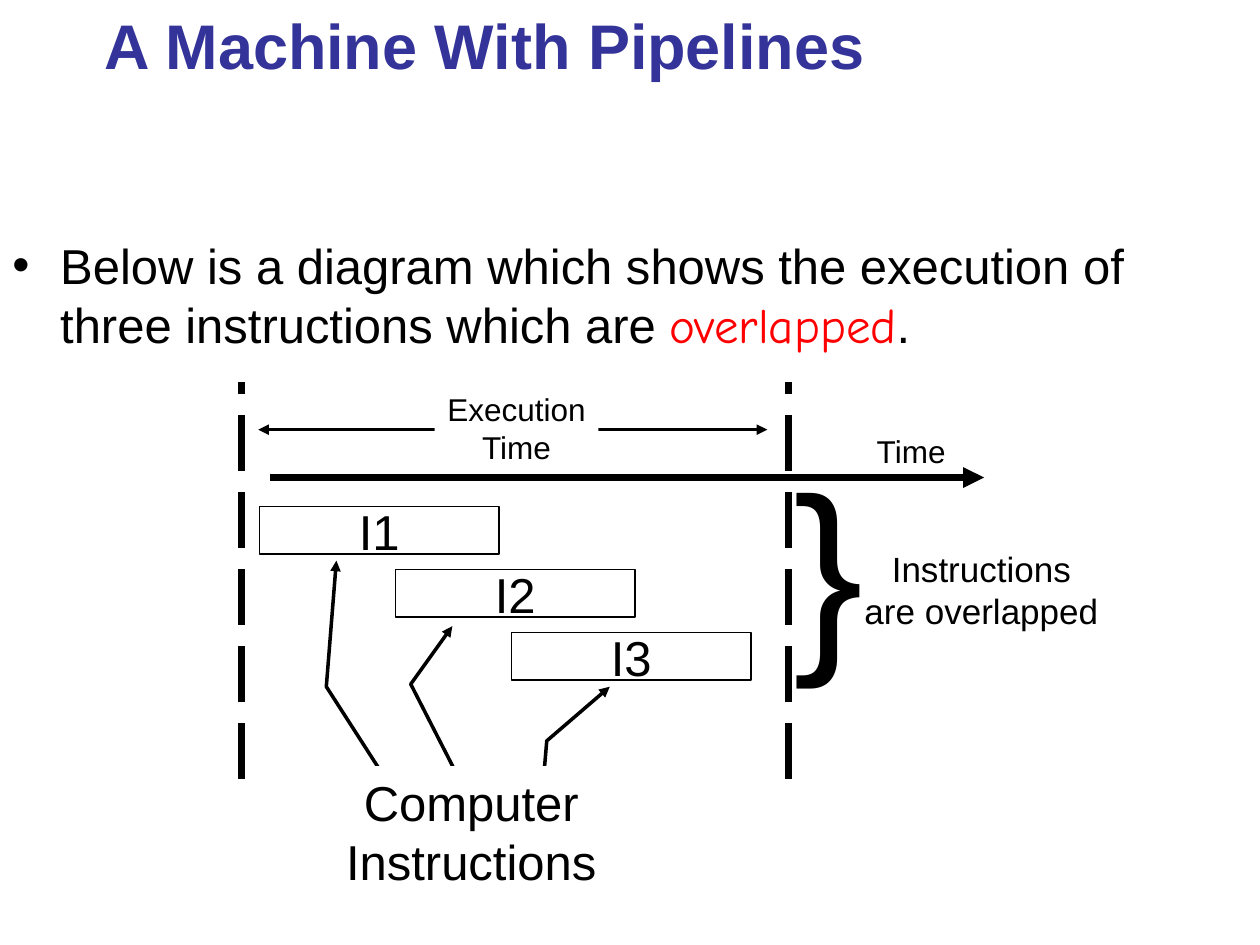
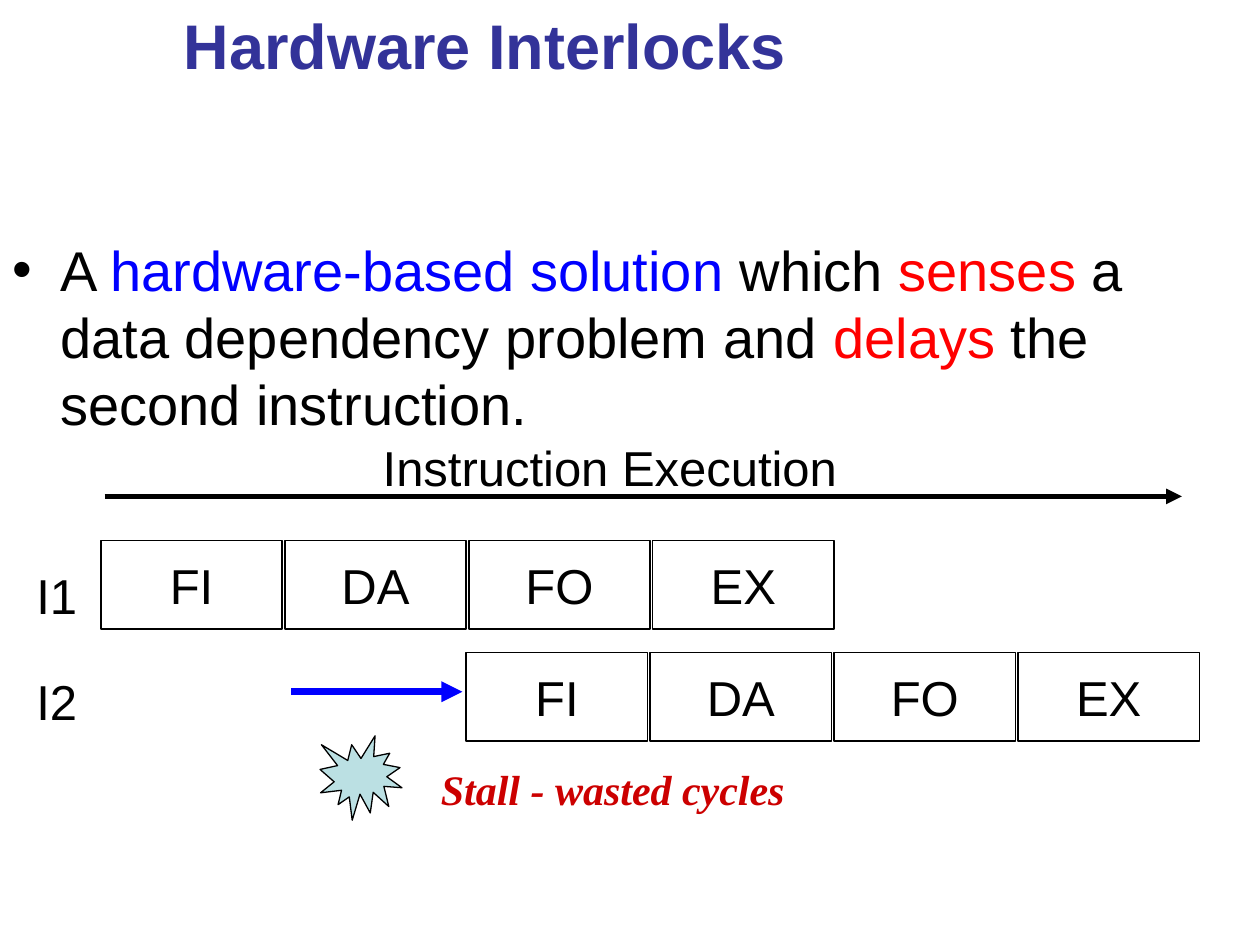
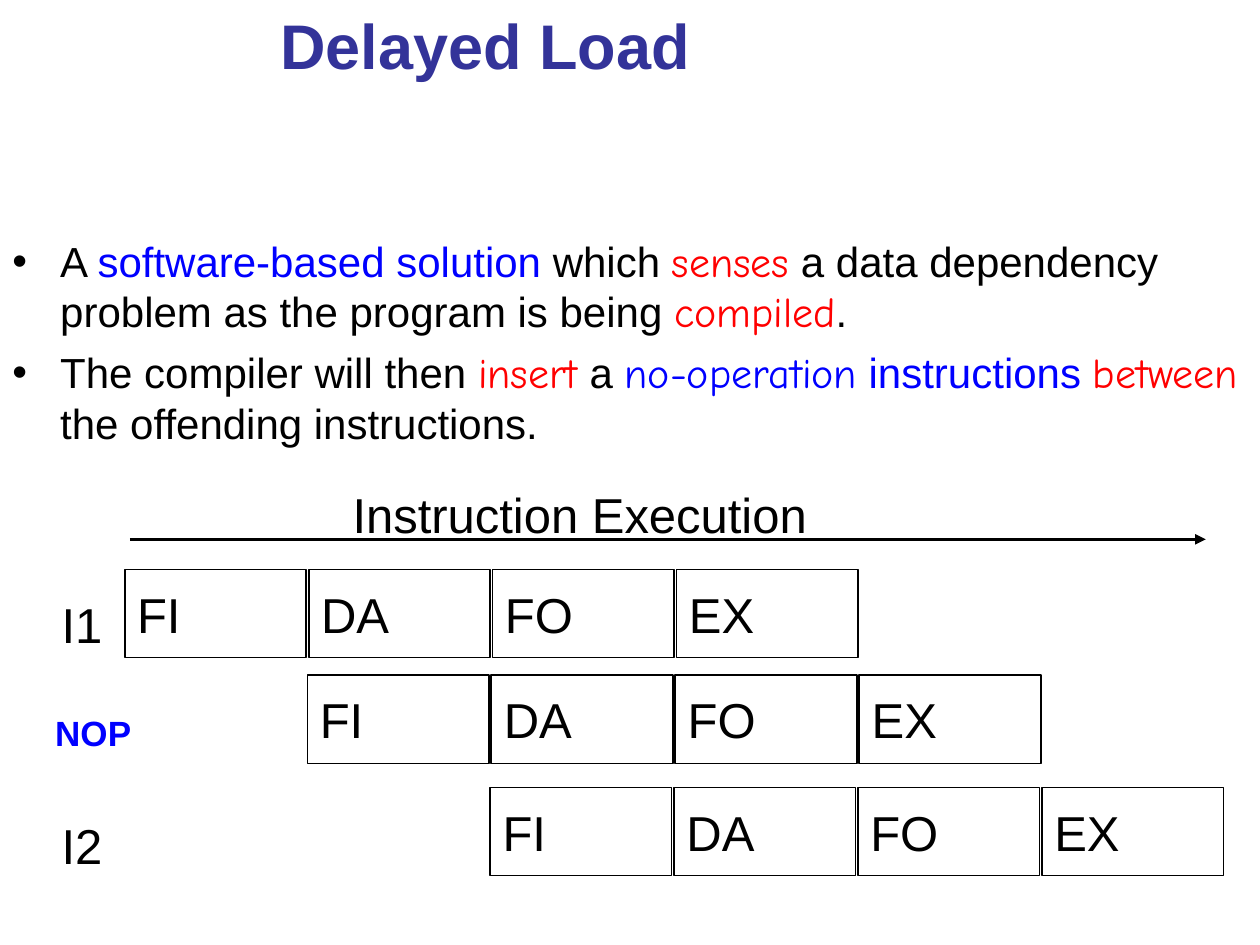
from lxml import etree
from pptx import Presentation
from pptx.dml.color import RGBColor
from pptx.enum.dml import MSO_LINE
from pptx.enum.shapes import MSO_CONNECTOR, MSO_SHAPE
from pptx.enum.text import MSO_ANCHOR, MSO_AUTO_SIZE, PP_ALIGN
from pptx.oxml.ns import qn
from pptx.util import Inches, Pt

LEFT, CENTER = PP_ALIGN.LEFT, PP_ALIGN.CENTER
TOP, MIDDLE = MSO_ANCHOR.TOP, MSO_ANCHOR.MIDDLE
STRAIGHT = MSO_CONNECTOR.STRAIGHT
RECT, BURST = MSO_SHAPE.RECTANGLE, MSO_SHAPE.EXPLOSION1
DASH = MSO_LINE.LONG_DASH

BLACK, WHITE, NAVY = "000000", "FFFFFF", "333399"
BLUE, RED, CRIMSON, AQUA = "0000FF", "FF0000", "CC0000", "BBE0E3"
SANS, COMIC, SERIF = "Arial", "Comic Neue", "Times New Roman"

STAGES = ("FI", "DA", "FO", "EX")
STAGE_W, STAGE_H, PITCH = 1.44, 0.7, 1.46


def paint(target, color):
    """Give a fill or a font colour a hex value."""
    if hasattr(target, "solid"):
        target.solid()
        target = target.fore_color
    target.rgb = RGBColor.from_string(color)


def inches(*values):
    return [Inches(v) for v in values]


# Text

def write(frame, paras, size, align=LEFT, anchor=TOP, wrap=True,
          color=BLACK, font=SANS, bold=False, italic=False):
    """Each paragraph is a list of runs: (text, colour, font), the last two optional."""
    frame.word_wrap = wrap
    frame.auto_size = MSO_AUTO_SIZE.NONE
    frame.vertical_anchor = anchor
    frame.margin_left = frame.margin_right = Inches(0.1)
    frame.margin_top = frame.margin_bottom = Inches(0.05)
    for i, runs in enumerate(paras):
        para = frame.add_paragraph() if i else frame.paragraphs[0]
        para.alignment = align
        for text, *look in runs:
            run = para.add_run()
            run.text = text
            face = run.font
            face.size, face.bold, face.italic = Pt(size), bold, italic
            face.name = look[1] if len(look) > 1 else font
            paint(face.color, look[0] if look else color)


def label(slide, box, lines, size=28, fill=None, wrap=False, **style):
    shape = slide.shapes.add_textbox(*inches(*box))
    if fill:
        paint(shape.fill, fill)
    write(shape.text_frame, [[(line,)] for line in lines], size, wrap=wrap, **style)


def title(slide, text):
    head = slide.shapes.title
    head.left, head.top, head.width, head.height = inches(0, 0, 7.7, 1.25)
    write(head.text_frame, [[(text,)]], 36, CENTER, color=NAVY, bold=True)


def bullets(slide, paras, size):
    frame = slide.shapes.add_textbox(*inches(0, 1.82, 10, 5.37)).text_frame
    write(frame, paras, size)
    for i, para in enumerate(frame.paragraphs):
        props = para._p.get_or_add_pPr()
        props.set("marL", str(Inches(0.38)))
        props.set("indent", str(-Inches(0.38)))
        tint = etree.SubElement(props, qn("a:buClr"))
        etree.SubElement(tint, qn("a:srgbClr")).set("val", BLACK)
        etree.SubElement(props, qn("a:buFont")).set("typeface", SANS)
        etree.SubElement(props, qn("a:buChar")).set("char", "•")
        if i:
            para.space_before = Pt(6)


# Lines and boxes

def stroke(shape, width, color=BLACK, ends=(), dash=None):
    paint(shape.line.fill, color)
    shape.line.width = Pt(width)
    if dash:
        shape.line.dash_style = dash
    edge = shape.element.spPr.find(qn("a:ln"))
    for end in ends:
        etree.SubElement(edge, qn(f"a:{end}")).set("type", "triangle")


def line(slide, start, stop, width, ends=("tailEnd",), **look):
    link = slide.shapes.add_connector(STRAIGHT, *inches(*start, *stop))
    stroke(link, width, ends=ends, **look)
    etree.SubElement(link.element.spPr, qn("a:effectLst"))


def bent(slide, points):
    """Draw an open arrow through the points."""
    first, *rest = [inches(*p) for p in points]
    build = slide.shapes.build_freeform(*first)
    build.add_line_segments(rest, close=False)
    shape = build.convert_to_shape()
    shape.shadow.inherit = False
    shape.fill.background()
    stroke(shape, 2, ends=("tailEnd",))


def block(slide, box, text="", align=CENTER, kind=RECT, fill=WHITE, width=1):
    shape = slide.shapes.add_shape(kind, *inches(*box))
    shape.shadow.inherit = False
    paint(shape.fill, fill)
    stroke(shape, width)
    if text:
        write(shape.text_frame, [[(text,)]], 28, align, MIDDLE)


def stages(slide, x, y, align):
    for i, name in enumerate(STAGES):
        block(slide, (x + i * PITCH, y, STAGE_W, STAGE_H), name, align)


# Diagrams

def overlap(slide, x, y):
    """Three staggered instructions between two dashed limits."""
    def at(dx, dy, *size):
        return (x + dx, y + dy, *size)

    line(slide, at(0.13, 0.38), at(4.17, 0.38), 2, ends=("headEnd", "tailEnd"))
    for i, dx in enumerate((0.14, 1.22, 2.14)):
        block(slide, at(dx, 0.99 + i * 0.5, 1.9, 0.38), f"I{i + 1}")
    for dx in (0, 4.34):
        line(slide, at(dx, 3.15), at(dx, 0), 4, ends=(), dash=DASH)
    label(slide, at(4.28, 0.38, 1.4, 2.1), ["}"], 120, wrap=True)
    label(slide, at(4.84, 1.27, 2.06, 0.76), ["Instructions are overlapped"], 20,
          wrap=True, align=CENTER)
    label(slide, at(1.53, 0.02, 1.3, 0.7), ["Execution", "Time"], 18,
          fill=WHITE, align=CENTER)
    for points in (((1.21, 3.26), (0.67, 2.42), (0.75, 1.42)),
                   ((1.79, 3.28), (1.34, 2.4), (1.67, 1.94)),
                   ((2.39, 3.2), (2.42, 2.85), (2.92, 2.42))):
        bent(slide, [at(*p) for p in points])
    line(slide, at(0.22, 0.76), at(5.89, 0.76), 4)
    label(slide, at(4.94, 0.35, 0.75, 0.4), ["Time"], 18)
    label(slide, at(0.68, 3.05, 2.28, 1.03), ["Computer Instructions"],
          fill=WHITE, wrap=True, align=CENTER)


def stall(slide, x, y):
    """Two instructions, the second held back."""
    stages(slide, x, y, CENTER)
    stages(slide, x + 2.9, y + 0.89, CENTER)
    line(slide, (x + 0.03, y - 0.35), (x + 8.58, y - 0.35), 3)
    label(slide, (x + 2.09, y - 0.87, 3.9, 0.56), ["Instruction Execution"], align=CENTER)
    for name, dy in (("I1", 0.15), ("I2", 0.99)):
        label(slide, (x - 0.61, y + dy, 0.52, 0.56), [name])
    line(slide, (x + 1.51, y + 1.2), (x + 2.87, y + 1.2), 4, color=BLUE)
    block(slide, (x + 1.74, y + 1.55, 0.65, 0.67), kind=BURST, fill=AQUA, width=0.75)
    label(slide, (x + 2.6, y + 1.72, 2.93, 0.5), ["Stall - wasted cycles"], 24,
          color=CRIMSON, font=SERIF, bold=True, italic=True)


def delay(slide, x, y):
    """Two instructions with a no-operation between them."""
    for dx, dy in ((0, 0), (1.45, 0.84), (2.9, 1.73)):
        stages(slide, x + dx, y + dy, LEFT)
    line(slide, (x + 0.04, y - 0.24), (x + 8.58, y - 0.24), 2)
    label(slide, (x + 1.71, y - 0.72, 3.8, 0.56), ["Instruction Execution"])
    for name, dy in (("I1", 0.15), ("I2", 1.9)):
        label(slide, (x - 0.6, y + dy, 0.52, 0.56), [name])
    label(slide, (x - 0.65, y + 1.08, 0.8, 0.43), ["NOP"], 20,
          align=CENTER, color=BLUE, bold=True)


# Slides

PAGES = (
    ("A Machine With Pipelines", 28, [
        [("Below is a diagram which shows the execution of three instructions which are ",),
         ("overlapped", RED, COMIC), (".",)],
    ], overlap, (1.92, 3.03)),
    ("Hardware Interlocks", 32, [
        [("A ",), ("hardware-based solution", BLUE), (" which ",), ("senses", RED),
         (" a data dependency problem and ",), ("delays", RED),
         (" the second instruction.",)],
    ], stall, (0.8, 4.29)),
    ("Delayed Load", 24, [
        [("A ",), ("software-based solution", BLUE), (" which ",), ("senses", RED, COMIC),
         (" a data dependency problem as the program is being ",),
         ("compiled", RED, COMIC), (".",)],
        [("The compiler will then ",), ("insert", RED, COMIC), (" a ",),
         ("no-operation", BLUE, COMIC), (" instructions ", BLUE),
         ("between", RED, COMIC), (" the offending instructions.",)],
    ], delay, (0.99, 4.52)),
)


def main():
    deck = Presentation()
    deck.slide_width, deck.slide_height = inches(10, 7.5)
    for head, size, paras, draw, spot in PAGES:
        slide = deck.slides.add_slide(deck.slide_layouts[5])
        title(slide, head)
        bullets(slide, paras, size)
        draw(slide, *spot)
    deck.save("out.pptx")


if __name__ == "__main__":
    main()
